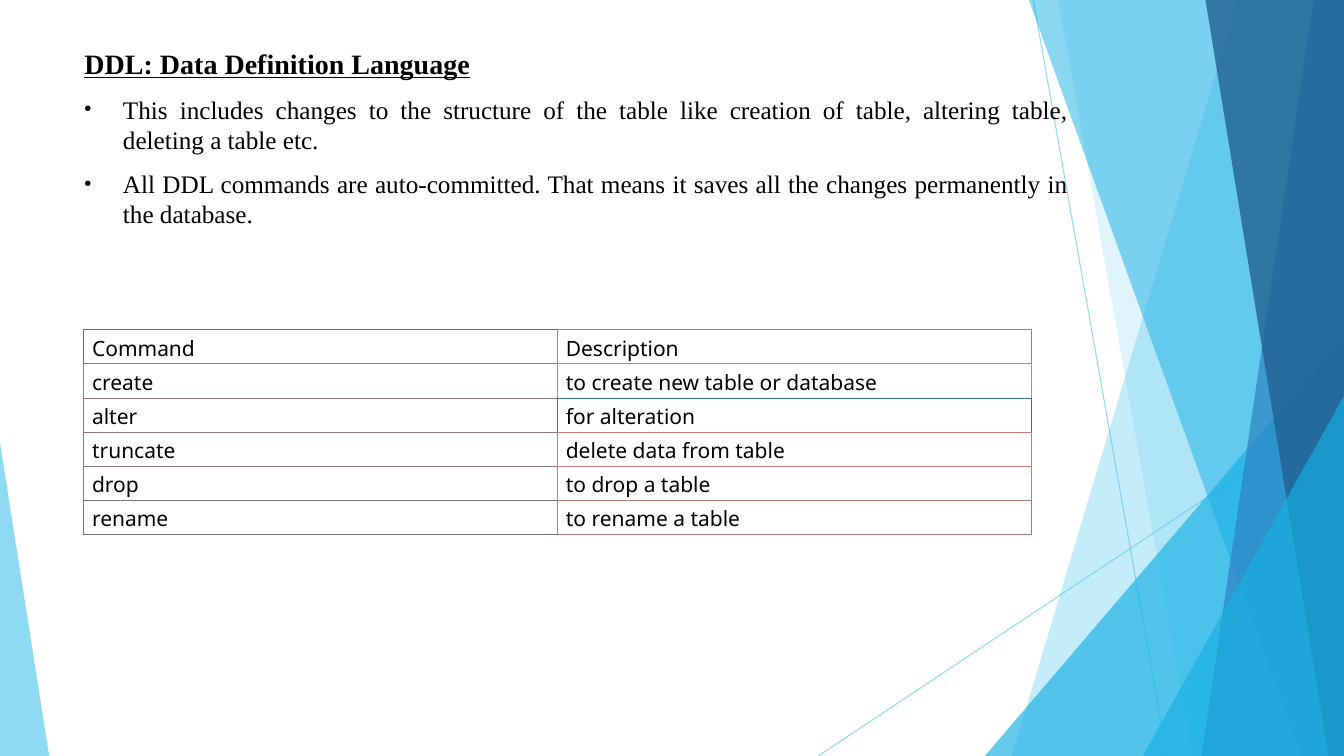
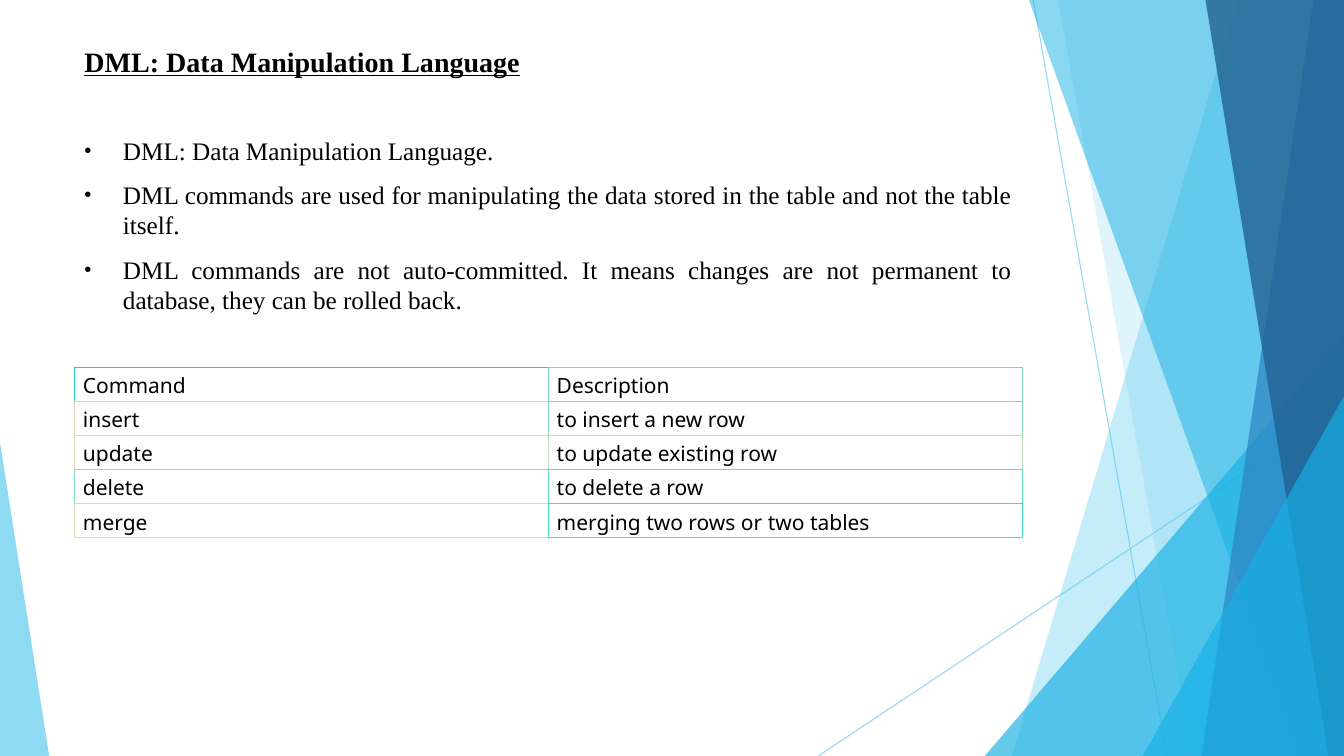
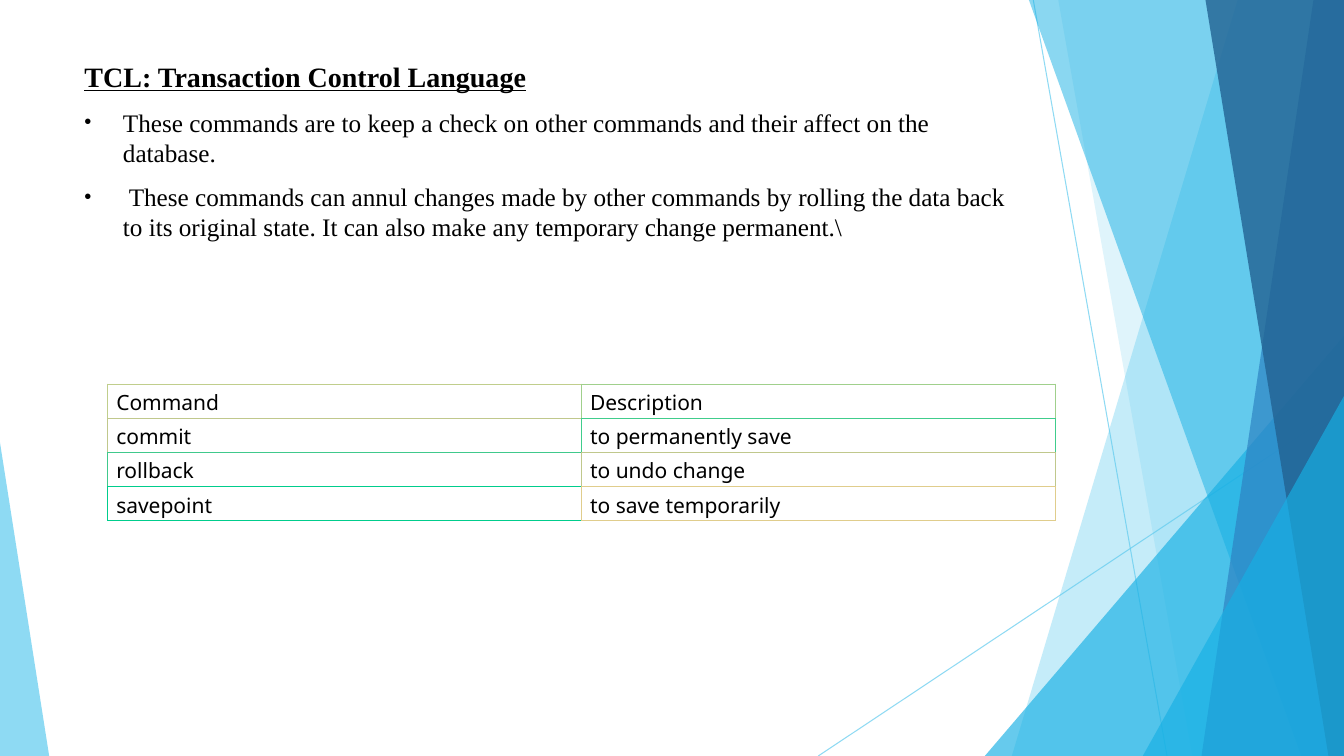
from dataclasses import dataclass

from lxml.etree import SubElement
from pptx import Presentation
from pptx.dml.color import RGBColor
from pptx.enum.shapes import MSO_CONNECTOR as Connector, MSO_SHAPE as Preset
from pptx.enum.text import PP_ALIGN as Align
from pptx.oxml.ns import qn
from pptx.util import Cm, Pt

WIDTH, HEIGHT = 33.87, 19.05
BLACK = RGBColor(0x00, 0x00, 0x00)
WHITE = RGBColor(0xFF, 0xFF, 0xFF)
SKY = RGBColor(0x5F, 0xCB, 0xEF)
CYAN = RGBColor(0x17, 0xB0, 0xE4)
BLUE = RGBColor(0x2E, 0x83, 0xC3)
NAVY = RGBColor(0x22, 0x62, 0x92)
SERIF, SANS = "Times New Roman", "Noto Sans"
COLUMN_WIDTH, ROW_HEIGHT = 11.94, 0.86
BULLET_INDENT = 0.97


@dataclass
class Topic:
    """Content and layout of one command-family slide."""
    title: str
    bullets: list
    box: tuple
    table_at: tuple
    rows: list
    border_colours: list
    align: Align = Align.JUSTIFY
    title_gap: float = 10


TOPICS = [
    Topic(
        title="DDL: Data Definition Language",
        bullets=[
            "This includes changes to the structure of the table like creation of table, "
            "altering table, deleting a table etc.",
            "All DDL commands are auto-committed. That means it saves all the changes "
            "permanently in the database.",
        ],
        box=(1.88, 1.04, 25.3, 17.22),
        table_at=(2.11, 8.31),
        rows=[
            ("Command", "Description"),
            ("create", "to create new table or database"),
            ("alter", "for alteration"),
            ("truncate", "delete data from table"),
            ("drop", "to drop a table"),
            ("rename", "to rename a table"),
        ],
        border_colours=[
            ("506E77", "D06977"), ("B06C77", "F06D77"), ("907377", "307577"),
            ("907477", "D07677"), ("907577", "D07877"), ("707277", "B07B77"),
        ],
    ),
    Topic(
        title="DML: Data Manipulation Language",
        bullets=[
            "DML: Data Manipulation Language.",
            "DML commands are used for manipulating the data stored in the table and not "
            "the table itself.",
            "DML commands are not auto-committed. It means changes are not permanent to "
            "database, they can be rolled back.",
        ],
        box=(1.88, 0.99, 23.88, 15.8),
        table_at=(1.88, 9.25),
        rows=[
            ("Command", "Description"),
            ("insert", "to insert a new row"),
            ("update", "to update existing row"),
            ("delete", "to delete a row"),
            ("merge", "merging two rows or two tables"),
        ],
        border_colours=[
            ("20D2B9", "80D6B9"), ("E0D1B9", "80D5B9"), ("E0E0B9", "C0DDB9"),
            ("80DCB9", "60DEB9"), ("E0D9B9", "40DEB9"),
        ],
        title_gap=41,
    ),
    Topic(
        title="TCL: Transaction Control Language",
        bullets=[
            "These commands are to keep a check on other commands and their affect on the "
            "database.",
            " These commands can annul changes made by other commands by rolling the data "
            "back to its original state. It can also make any temporary change permanent.\\",
        ],
        box=(1.88, 1.37, 23.88, 15.39),
        table_at=(2.72, 9.68),
        rows=[
            ("Command", "Description"),
            ("commit", "to permanently save"),
            ("rollback", "to undo change"),
            ("savepoint", "to save temporarily"),
        ],
        border_colours=[
            ("C0CE8C", "A0D08C"), ("C0C88C", "40CD8C"),
            ("40C98C", "C0C88C"), ("00CD8C", "E0CD8C"),
        ],
        align=Align.LEFT,
    ),
]


def set_opacity(shape, percent):
    """Make the shape's explicit colour partly transparent."""
    colour = shape.element.find(".//" + qn("a:srgbClr"))
    SubElement(colour, qn("a:alpha"), val=str(percent * 1000))


def paint(shape, colour, opacity):
    """Give a shape a translucent fill without line or shadow."""
    shape.shadow.inherit = False
    shape.fill.solid()
    shape.fill.fore_color.rgb = colour
    shape.line.fill.background()
    set_opacity(shape, opacity)


def add_panel(shapes, top_left, bottom_left, colour, opacity):
    """Add a full-height panel with a slanted left edge."""
    builder = shapes.build_freeform(Cm(top_left), Cm(0))
    corners = [(WIDTH, 0), (WIDTH, HEIGHT), (bottom_left, HEIGHT)]
    builder.add_line_segments([(Cm(x), Cm(y)) for x, y in corners], close=True)
    paint(builder.convert_to_shape(), colour, opacity)


def add_wedge(shapes, left, top, width, apex, colour, opacity):
    """Add a triangle that stands on the bottom edge of the slide."""
    wedge = shapes.add_shape(Preset.ISOSCELES_TRIANGLE, Cm(left), Cm(top),
                             Cm(width), Cm(HEIGHT - top))
    wedge.adjustments[0] = apex
    paint(wedge, colour, opacity)


def add_hairline(shapes, *ends):
    """Add a thin translucent line between two points."""
    line = shapes.add_connector(Connector.STRAIGHT, *[Cm(end) for end in ends])
    line.line.color.rgb = SKY
    line.line.width = Pt(0.75)
    set_opacity(line, 70)
    SubElement(line.element.spPr, qn("a:effectLst"))


def move_facets_to_layout(page, layout):
    """Draw the shared facets and make them part of the layout."""
    for holder in list(layout.placeholders):
        holder.element.getparent().remove(holder.element)
    group = page.shapes.add_group_shape()
    shapes = group.shapes
    add_hairline(shapes, 26.04, 0, 29.41, HEIGHT)
    add_hairline(shapes, WIDTH, 10.24, 20.62, HEIGHT)
    add_panel(shapes, 31.19, 25.5, SKY, 36)
    add_panel(shapes, 26.67, 30.05, SKY, 20)
    add_wedge(shapes, 24.82, 8.46, 9.05, 1, CYAN, 66)
    add_panel(shapes, 25.93, 32.79, CYAN, 50)
    add_panel(shapes, 33.1, 30.28, BLUE, 70)
    add_panel(shapes, 30.38, 33.48, NAVY, 80)
    add_wedge(shapes, 28.8, 9.98, 5.07, 1, CYAN, 66)
    add_wedge(shapes, 0, 11.15, 1.24, 0, SKY, 70)
    layout.shapes.element.append(group.element)


def write(para, text, size, font=SERIF, bold=False, underline=False,
          align=Align.LEFT, before=0, bullet=False):
    """Fill a paragraph with one formatted run."""
    para.alignment = align
    para.space_before = Pt(before)
    if bullet:
        props = para._p.get_or_add_pPr()
        props.set("marL", str(Cm(BULLET_INDENT)))
        props.set("indent", str(-Cm(BULLET_INDENT)))
        SubElement(props, qn("a:buSzPct"), val="80000")
        SubElement(props, qn("a:buFont"), typeface="Arial")
        SubElement(props, qn("a:buChar"), char="•")
    span = para.add_run()
    span.text = text
    span.font.name = font
    span.font.size = Pt(size)
    span.font.bold = bold
    span.font.underline = underline
    span.font.color.rgb = BLACK


def add_body(page, topic):
    """Add the underlined heading and its bullets."""
    frame = page.shapes.add_textbox(*[Cm(value) for value in topic.box]).text_frame
    frame.word_wrap = True
    write(frame.paragraphs[0], topic.title, 20, bold=True, underline=True, before=10)
    for index, text in enumerate(topic.bullets):
        write(frame.add_paragraph(), text, 18, align=topic.align, bullet=True,
              before=10 if index else topic.title_gap)


def set_borders(cell, **colours):
    """Draw the cell edges named L, R, T and B in the given colours."""
    props = cell._tc.get_or_add_tcPr()
    for side, colour in colours.items():
        edge = SubElement(props, qn(f"a:ln{side}"), w=str(Pt(0.75)))
        SubElement(SubElement(edge, qn("a:solidFill")), qn("a:srgbClr"), val=colour)


def add_command_table(page, topic):
    """Add the table, each edge taking the colour of the cell that follows it."""
    rows, colours = topic.rows, topic.border_colours
    last_row, last_column = len(rows) - 1, len(rows[0]) - 1
    left, top = topic.table_at
    table = page.shapes.add_table(
        len(rows), len(rows[0]), Cm(left), Cm(top),
        Cm(COLUMN_WIDTH * len(rows[0])), Cm(ROW_HEIGHT * len(rows))).table
    table.first_row = table.horz_banding = False
    for i, row in enumerate(rows):
        for j, text in enumerate(row):
            cell = table.cell(i, j)
            cell.margin_left = cell.margin_right = Cm(0.21)
            cell.margin_top = cell.margin_bottom = Cm(0.1)
            own = colours[i][j]
            set_borders(cell, L=own, R=colours[i][min(j + 1, last_column)],
                        T=own, B=colours[min(i + 1, last_row)][j])
            cell.fill.solid()
            cell.fill.fore_color.rgb = WHITE
            write(cell.text_frame.paragraphs[0], text, 15, font=SANS)


def main():
    """Build and save the deck."""
    deck = Presentation()
    deck.slide_width, deck.slide_height = Cm(WIDTH), Cm(HEIGHT)
    blank = deck.slide_layouts[6]
    pages = [deck.slides.add_slide(blank) for _ in TOPICS]
    move_facets_to_layout(pages[0], blank)
    for page, topic in zip(pages, TOPICS):
        add_body(page, topic)
        add_command_table(page, topic)
    deck.save("out.pptx")


main()
